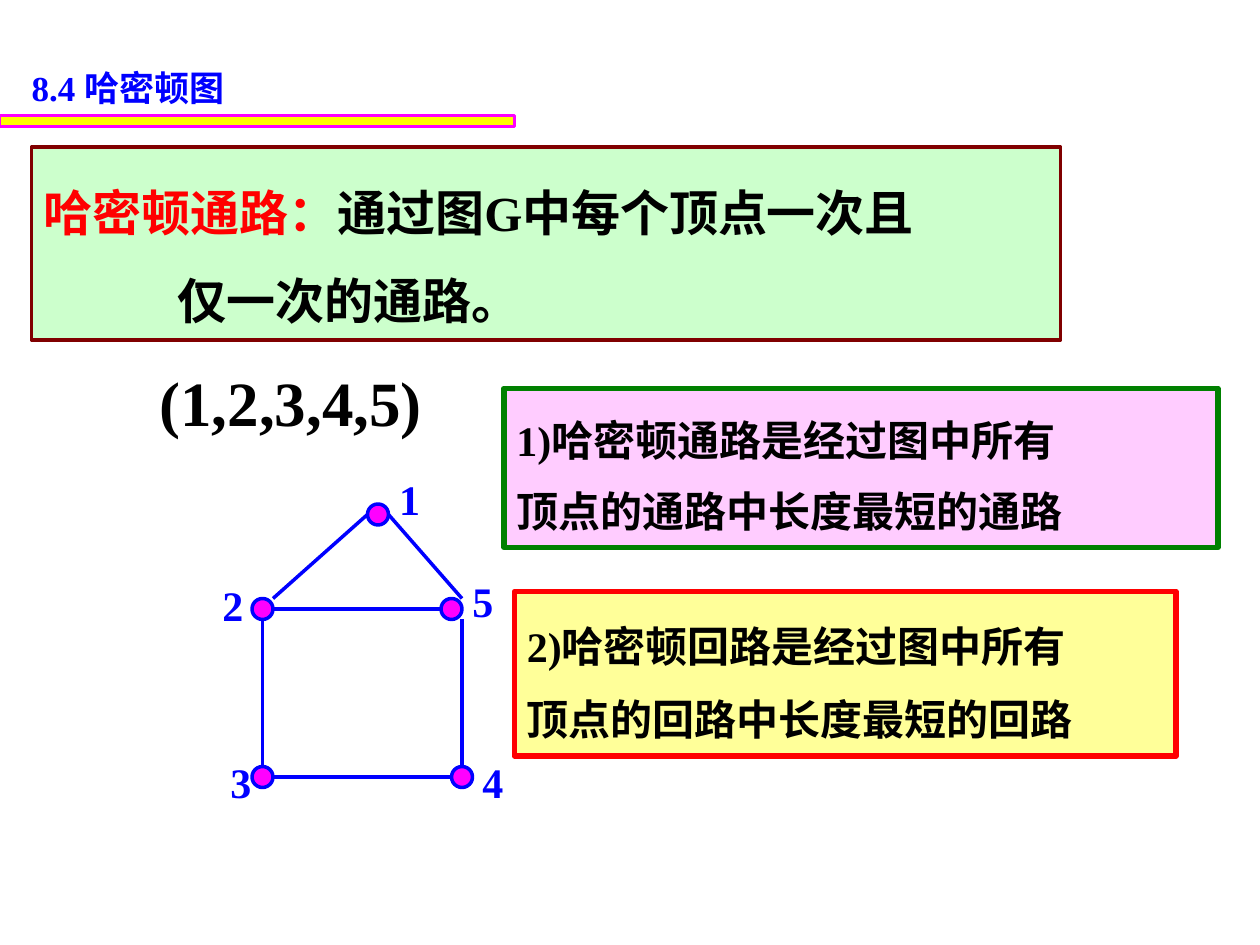
from lxml import etree
from pptx import Presentation
from pptx.dml.color import RGBColor
from pptx.enum.shapes import MSO_CONNECTOR, MSO_SHAPE
from pptx.enum.text import MSO_ANCHOR, MSO_AUTO_SIZE, PP_ALIGN
from pptx.oxml.ns import qn
from pptx.util import Pt

RECTANGLE, OVAL = MSO_SHAPE.RECTANGLE, MSO_SHAPE.OVAL
STRAIGHT = MSO_CONNECTOR.STRAIGHT
TOP = MSO_ANCHOR.TOP
LEFT = PP_ALIGN.LEFT
NO_AUTOFIT = MSO_AUTO_SIZE.NONE

TIMES, ARIAL, HAN = "Times New Roman", "Arial", "Noto Sans CJK SC"
BLACK, BLUE, RED, MAGENTA = "000000", "0000FF", "FF0000", "FF00FF"

NODE = 12
NODES = {"1": (90, 21), "2": (24, 75), "3": (24, 171), "4": (138, 171), "5": (132, 75)}
LABELS = {"1": (101, 0), "2": (0, 60.6), "3": (4.6, 162), "4": (148.6, 162), "5": (142.8, 58.4)}
SIDES = {"left": (0, 6), "right": (12, 6), "top": (6, 0), "bottom": (6, 12),
         "top right": (12, 0), "bottom right": (12, 12)}
EDGES = [
    ("2", "top right", "1", "left"),
    ("2", "bottom", "3", "top"),
    ("3", "right", "4", "left"),
    ("5", "bottom right", "4", "top"),
    ("2", "right", "5", "left"),
    ("1", "right", "5", "top right"),
]


def rgb(value):
    return RGBColor.from_string(value)


def set_face(font, name, color):
    font.color.rgb = rgb(color)
    font.name = name
    etree.SubElement(font._rPr, qn("a:ea")).set("typeface", HAN)


def set_font(paragraph, size, color, name=TIMES):
    paragraph.alignment = LEFT
    font = paragraph.font
    font.size, font.bold = Pt(size), True
    set_face(font, name, color)


def add_panel(slide, box, fill, outline, width, kind=RECTANGLE):
    panel = slide.shapes.add_shape(kind, *map(Pt, box))
    panel.shadow.inherit = False
    panel.fill.solid()
    panel.fill.fore_color.rgb = rgb(fill)
    panel.line.color.rgb = rgb(outline)
    panel.line.width = Pt(width)
    return panel


def add_statement(slide, box, colors, width, size, spacing, lines, indent=0):
    frame = add_panel(slide, box, *colors, width).text_frame
    frame.word_wrap = True
    frame.vertical_anchor = TOP
    for number, pieces in enumerate(lines):
        paragraph = frame.add_paragraph() if number else frame.paragraphs[0]
        paragraph.line_spacing = spacing
        if number and indent:
            properties = paragraph._p.get_or_add_pPr()
            properties.set("marL", str(int(Pt(indent))))
            properties.set("indent", "0")
        set_font(paragraph, size, BLACK, pieces[-1][1])
        for wording, name, color in pieces:
            run = paragraph.add_run()
            run.text = wording
            set_face(run.font, name, color)


def add_label(slide, box, wording, size, color, wrap):
    frame = slide.shapes.add_textbox(*map(Pt, box)).text_frame
    frame.word_wrap = wrap
    frame.text = wording
    set_font(frame.paragraphs[0], size, color)


def add_heading(slide, box):
    left, top, width, height = box
    heading = slide.shapes.title
    heading.left, heading.top = Pt(left), Pt(top)
    heading.width, heading.height = Pt(width), Pt(height)
    frame = heading.text_frame
    frame.text = "8.4 哈密顿图"
    frame.auto_size = NO_AUTOFIT
    frame.vertical_anchor = TOP
    set_font(frame.paragraphs[0], 20, BLUE)
    add_panel(slide, (0, top + 31.6, 294, 6), "FFFF00", MAGENTA, 1.75)


def add_graph(slide, left, top):
    def anchor(node, side):
        x, y = NODES[node]
        dx, dy = SIDES[side]
        return Pt(left + x + dx), Pt(top + y + dy)

    for x, y in NODES.values():
        add_panel(slide, (left + x, top + y, NODE, NODE), MAGENTA, BLUE, 2, OVAL)
    for start, start_side, end, end_side in EDGES:
        edge = slide.shapes.add_connector(
            STRAIGHT, *anchor(start, start_side), *anchor(end, end_side))
        edge.line.color.rgb = rgb(BLUE)
        edge.line.width = Pt(2)
        etree.SubElement(edge._element.spPr, qn("a:effectLst"))
    for number, (x, y) in LABELS.items():
        add_label(slide, (left + x, top + y, 26, 36), number, 24, BLUE, False)


def main():
    deck = Presentation()
    deck.slide_width, deck.slide_height = Pt(720), Pt(540)
    slide = deck.slides.add_slide(deck.slide_layouts[5])

    add_heading(slide, (10.8, 34.6, 193, 31))
    add_statement(slide, (18, 84, 588, 110.4), ("CCFFCC", "800000"), 2, 28, 1.5, [
        [("哈密顿通路：", HAN, RED), ("通过图", HAN, BLACK),
         ("G", TIMES, BLACK), ("中每个顶点一次且", HAN, BLACK)],
        [("仅一次的通路。", HAN, BLACK)],
    ], indent=76.6)
    add_graph(slide, 120, 267)
    add_label(slide, (84, 204, 247, 50.4), "(1,2,3,4,5)", 36, BLACK, True)
    add_statement(slide, (288, 222, 408, 90.8), ("FFCCFF", "008000"), 3.25, 24, 1.4, [
        [("1)", TIMES, BLACK), ("哈密顿通路是经过图中所有", ARIAL, BLACK)],
        [("顶点的通路中长度最短的通路", ARIAL, BLACK)],
    ])
    add_statement(slide, (294, 338, 378, 94), ("FFFF99", RED), 3.25, 24, 1.45, [
        [("2)", TIMES, BLACK), ("哈密顿回路是经过图中所有", ARIAL, BLACK)],
        [("顶点的回路中长度最短的回路", ARIAL, BLACK)],
    ])
    deck.save("out.pptx")


if __name__ == "__main__":
    main()
